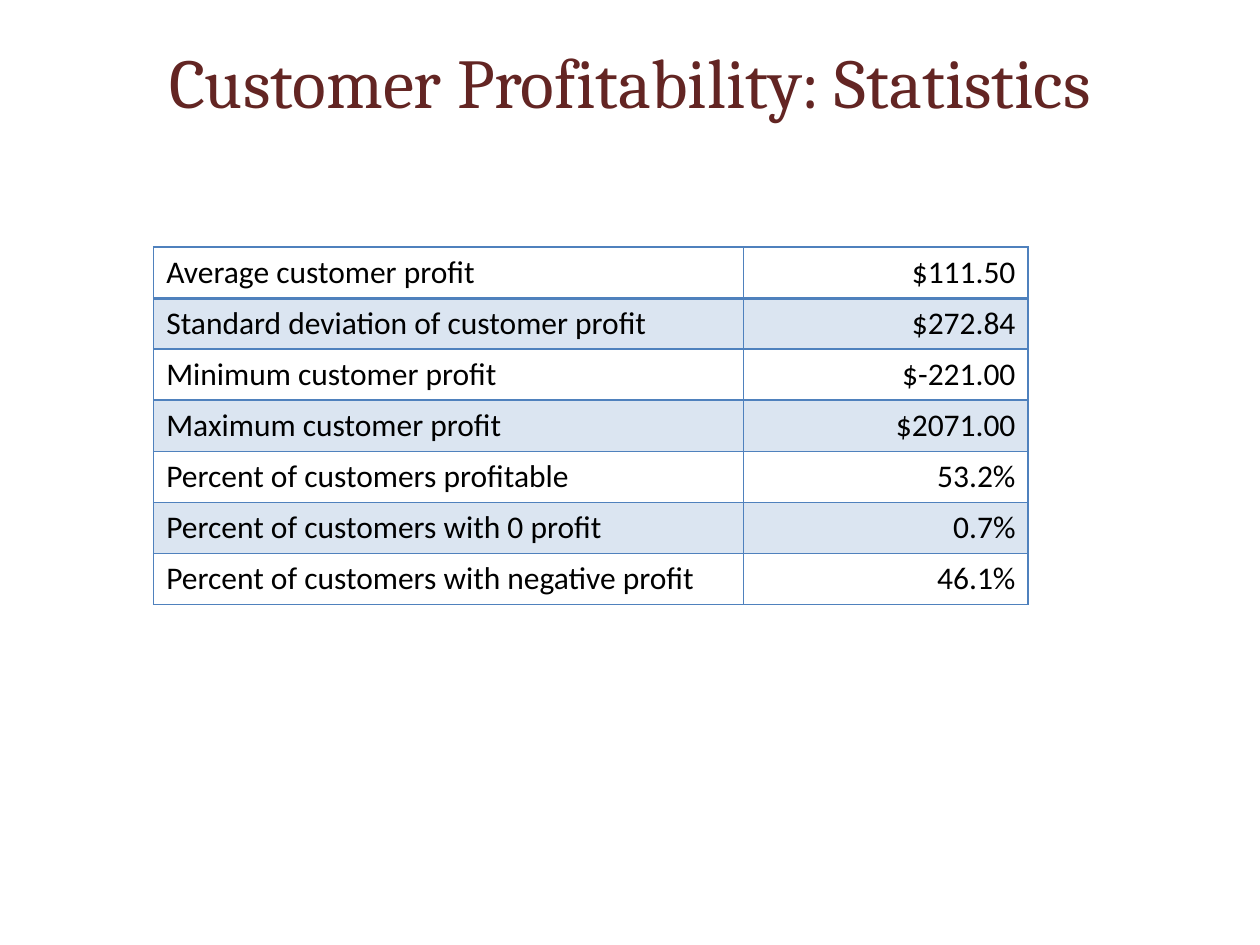
"""Build the customer profitability statistics slide."""
import pptx
import pptx.dml.color
import pptx.enum.text
import pptx.oxml
import pptx.oxml.ns
import pptx.util
from lxml import etree

Inches = pptx.util.Inches
Pt = pptx.util.Pt
ALIGN = pptx.enum.text.PP_ALIGN
MIDDLE = pptx.enum.text.MSO_ANCHOR.MIDDLE
COLORS = {"title": "632523", "text": "000000", "accent": "4F81BD"}
TITLE = "Customer Profitability: Statistics"
STATISTICS = [
    ("Average customer profit", "$111.50"),
    ("Standard deviation of customer profit", "$272.84"),
    ("Minimum customer profit", "$-221.00"),
    ("Maximum customer profit", "$2071.00"),
    ("Percent of customers profitable", "53.2%"),
    ("Percent of customers with 0 profit", "0.7%"),
    ("Percent of customers with negative profit", "46.1%"),
]
COLUMN_WIDTHS = (4.68, 2.26)
COLUMN_ALIGNS = (ALIGN.LEFT, ALIGN.RIGHT)
TABLE_HEIGHT = 2.84
BAND_OPACITY = 20


def color(name):
    return pptx.dml.color.RGBColor.from_string(COLORS[name])


def write(frame, text, font, size, color_name, align):
    para = frame.paragraphs[0]
    para.text = text
    para.alignment = align
    para.font.name = font
    para.font.size = Pt(size)
    para.font.color.rgb = color(color_name)


def add_borders(cell, widths):
    properties = cell._tc.get_or_add_tcPr()
    for side, width in widths.items():
        properties.append(pptx.oxml.parse_xml(
            f'<a:ln{side} {pptx.oxml.ns.nsdecls("a")} w="{Pt(width)}"><a:solidFill>'
            f'<a:srgbClr val="{COLORS["accent"]}"/></a:solidFill></a:ln{side}>'))


def fill_band(cell):
    cell.fill.solid()
    cell.fill.fore_color.rgb = color("accent")
    tone = cell._tc.tcPr.find(".//" + pptx.oxml.ns.qn("a:solidFill") + "[last()]")
    tone = cell._tc.tcPr.findall(pptx.oxml.ns.qn("a:solidFill"))[0][0]
    etree.SubElement(tone, pptx.oxml.ns.qn("a:alpha"), val=str(BAND_OPACITY * 1000))


def add_title(page):
    box = page.shapes.add_textbox(Inches(0.5), Inches(0.3), Inches(9), Inches(0.68))
    box.text_frame.word_wrap = True
    box.text_frame.vertical_anchor = MIDDLE
    write(box.text_frame, TITLE, "Cambria", 40, "title", ALIGN.CENTER)


def add_statistics(page):
    table = page.shapes.add_table(
        len(STATISTICS), len(COLUMN_WIDTHS), Inches(1.22), Inches(1.96),
        Inches(sum(COLUMN_WIDTHS)), Inches(TABLE_HEIGHT)).table
    table.first_row = table.horz_banding = False
    for column, width in zip(table.columns, COLUMN_WIDTHS):
        column.width = Inches(width)
    for row_index, values in enumerate(STATISTICS):
        for column_index, value in enumerate(values):
            cell = table.cell(row_index, column_index)
            write(cell.text_frame, value, "Calibri", 18, "text", COLUMN_ALIGNS[column_index])
            top = 2 if row_index == 1 else 1
            bottom = 2 if row_index == 0 else 1
            add_borders(cell, {"L": 1, "R": 1, "T": top, "B": bottom})
            if row_index % 2:
                fill_band(cell)
            else:
                cell.fill.background()


def main():
    deck = pptx.Presentation()
    deck.slide_width, deck.slide_height = Inches(10), Inches(7.5)
    page = deck.slides.add_slide(deck.slide_layouts[6])
    add_title(page)
    add_statistics(page)
    deck.save("out.pptx")


if __name__ == "__main__":
    main()
